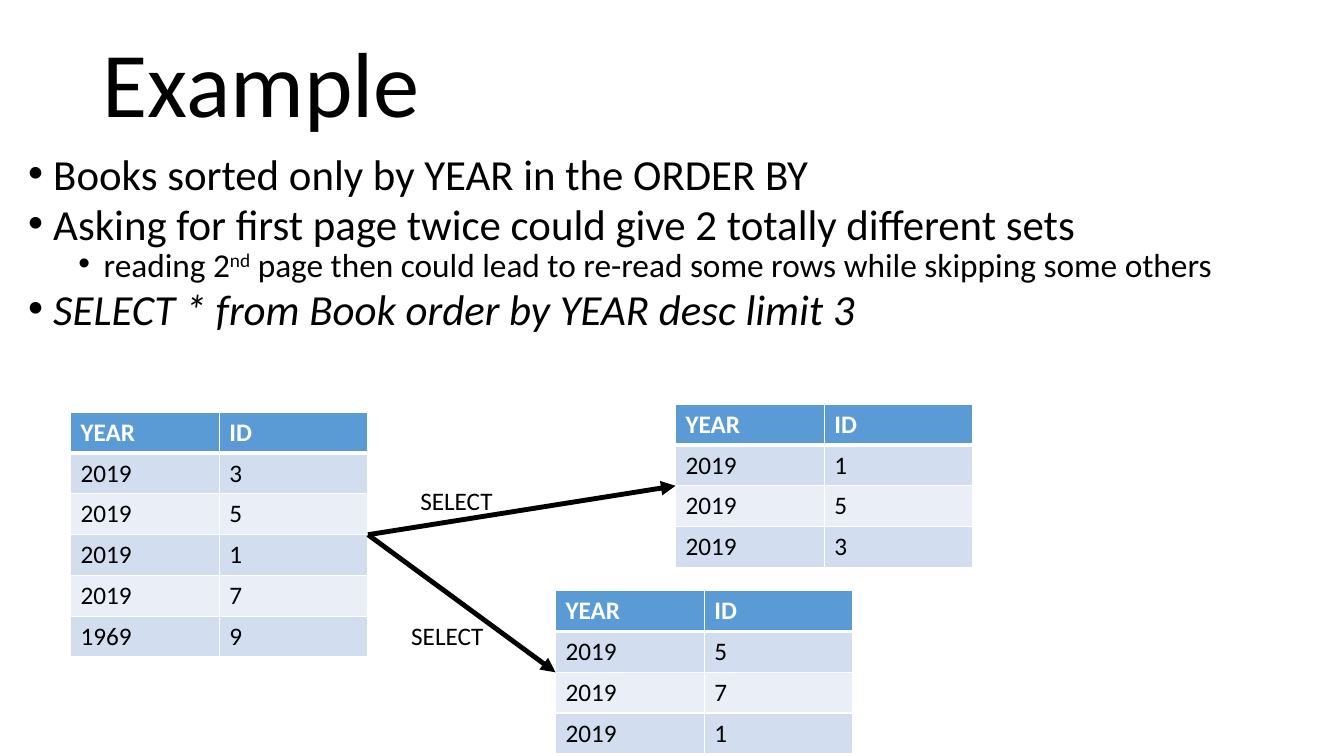
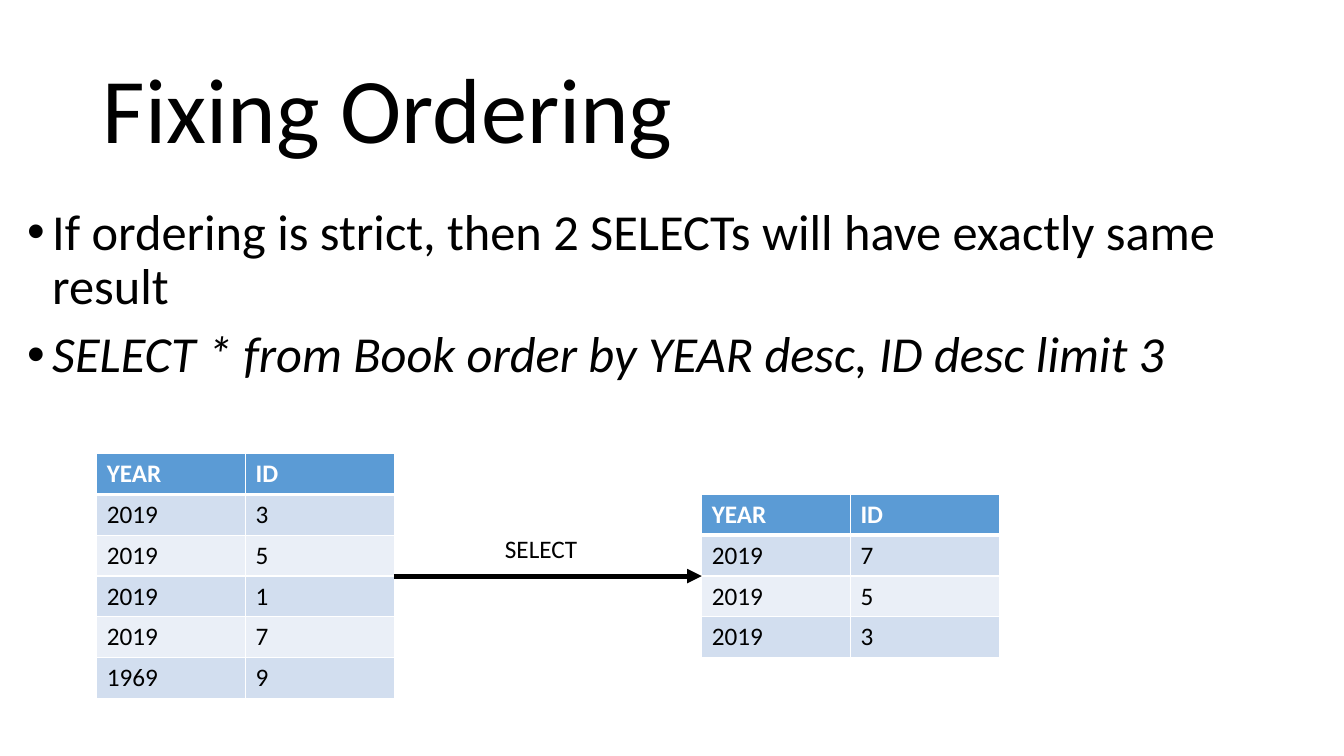
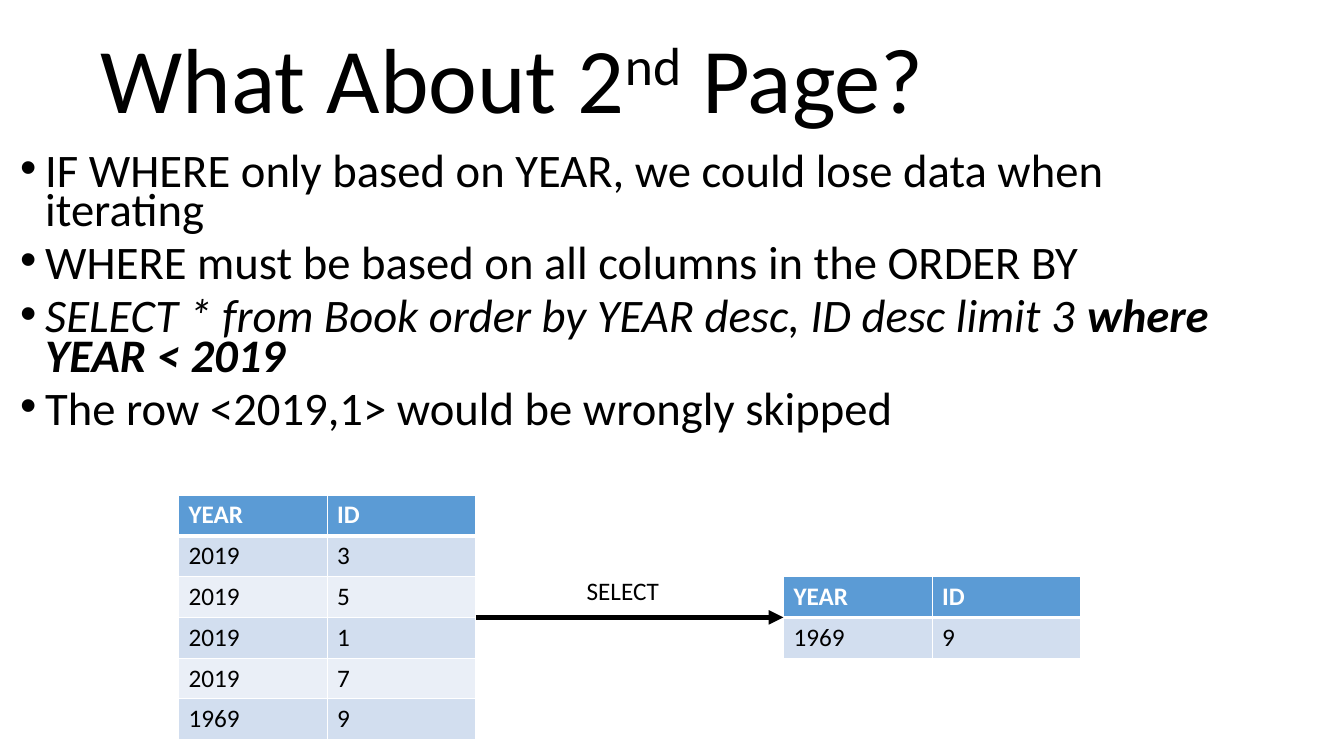
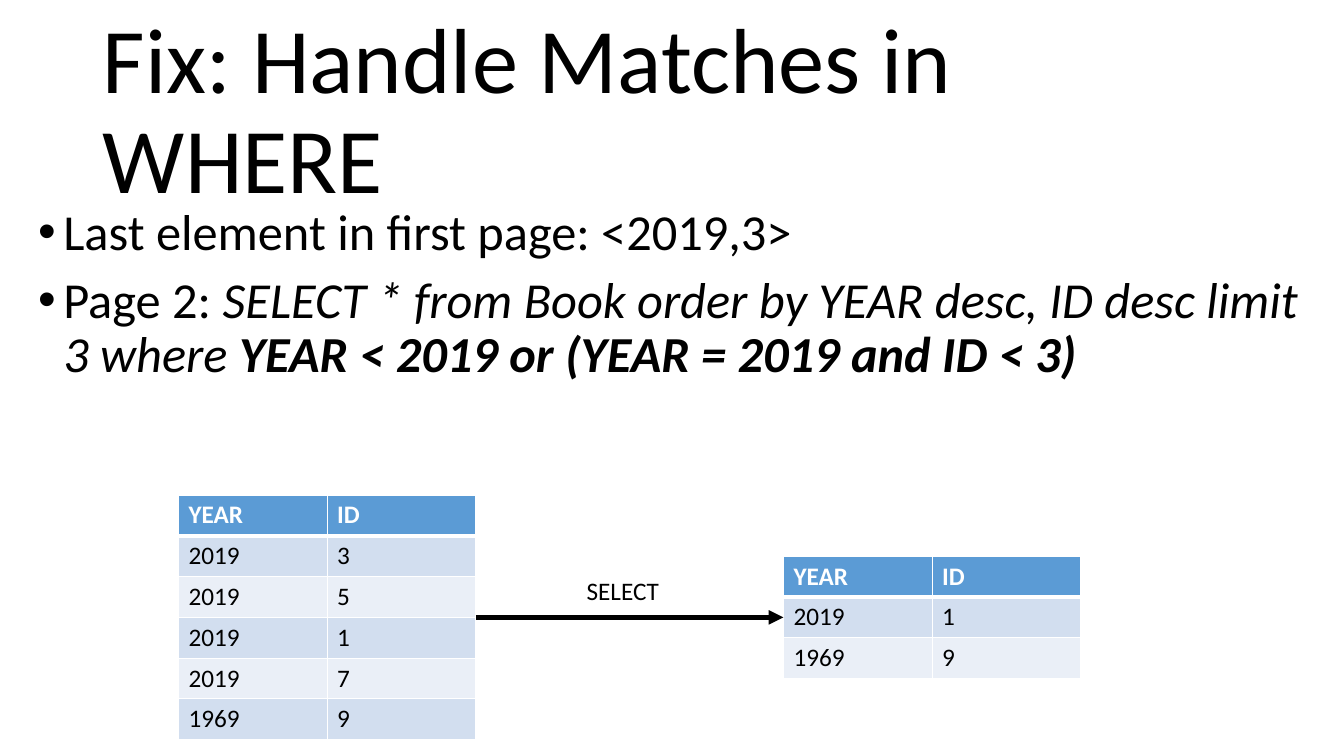
import dataclasses

import lxml.etree
import pptx
import pptx.dml.color
import pptx.enum.shapes
import pptx.enum.text
import pptx.oxml
import pptx.oxml.ns
import pptx.util

Inches = pptx.util.Inches
Pt = pptx.util.Pt
qn = pptx.oxml.ns.qn


@dataclasses.dataclass(frozen=True)
class Theme:
    font: str = "Calibri"
    ink: str = "000000"
    paper: str = "FFFFFF"
    head: str = "5B9BD5"
    bands: tuple = ("D2DEEF", "EAEFF7")
    title: float = 66
    small: float = 18
    line: float = 3.5
    rule: float = 1
    thick: float = 3
    col: float = 2.95 / 2
    row: float = 2.43 / 6


@dataclasses.dataclass
class Box:
    left: float
    top: float
    width: float
    height: float

    @property
    def right(self):
        return self.left + self.width

    @property
    def middle(self):
        return self.top + self.height / 2


class Deck:
    def __init__(self, theme):
        self.theme = theme
        self.show = pptx.Presentation()
        self.show.slide_width = Inches(13.33)
        self.show.slide_height = Inches(7.5)
        self.slide = None

    def color(self, value):
        return pptx.dml.color.RGBColor.from_string(value)

    def style(self, para, size, color=None, bold=False):
        font = para.font
        font.name = self.theme.font
        font.size = Pt(size)
        font.bold = bold
        font.color.rgb = self.color(color or self.theme.ink)

    def fill(self, para, parts):
        for text, marks in parts:
            run = para.add_run()
            run.text = text
            if "b" in marks:
                run.font.bold = True
            if "i" in marks:
                run.font.italic = True
            if "^" in marks:
                run._r.get_or_add_rPr().set("baseline", "30000")

    def page(self, parts, left, top):
        self.slide = self.show.slides.add_slide(self.show.slide_layouts[5])
        shape = self.slide.shapes.title
        shape.left, shape.top = Inches(left), Inches(top)
        shape.width, shape.height = Inches(11.5), Inches(1.45)
        frame = shape.text_frame
        frame.word_wrap = True
        frame.auto_size = pptx.enum.text.MSO_AUTO_SIZE.NONE
        frame.vertical_anchor = pptx.enum.text.MSO_ANCHOR.MIDDLE
        para = frame.paragraphs[0]
        para.alignment = pptx.enum.text.PP_ALIGN.LEFT
        para.line_spacing = 0.9
        self.style(para, self.theme.title)
        self.fill(para, parts)

    def text(self, box, wrap):
        shape = self.slide.shapes.add_textbox(
            Inches(box.left), Inches(box.top), Inches(box.width), Inches(box.height))
        shape.text_frame.word_wrap = wrap
        return shape.text_frame

    def list(self, box, sizes, spacing, items):
        frame = self.text(box, True)
        for index, (level, parts) in enumerate(items):
            para = frame.add_paragraph() if index else frame.paragraphs[0]
            props = para._p.get_or_add_pPr()
            props.set("marL", str(Inches(0.25 + 0.5 * level)))
            props.set("indent", str(Inches(-0.25)))
            lxml.etree.SubElement(props, qn("a:buFont")).set("typeface", "Arial")
            lxml.etree.SubElement(props, qn("a:buChar")).set("char", "•")
            para.level = level
            para.line_spacing = spacing
            para.space_before = Pt(5 if level else 10)
            self.style(para, sizes[level])
            self.fill(para, parts)

    def edge(self, cell, sides):
        props = cell._tc.get_or_add_tcPr()
        for index, (side, width) in enumerate(sides.items()):
            line = pptx.oxml.parse_xml(
                f'<a:ln{side} {pptx.oxml.ns.nsdecls("a")} w="{Pt(width)}">'
                f'<a:solidFill><a:srgbClr val="{self.theme.paper}"/></a:solidFill>'
                f'</a:ln{side}>')
            props.insert(index, line)

    def table(self, left, top, data):
        theme = self.theme
        rows = [("YEAR", "ID"), *data]
        box = Box(left, top, 2 * theme.col, len(rows) * theme.row)
        grid = self.slide.shapes.add_table(
            len(rows), 2, Inches(left), Inches(top),
            Inches(box.width), Inches(box.height)).table
        for r, values in enumerate(rows):
            grid.rows[r].height = Inches(theme.row)
            for c, value in enumerate(values):
                cell = grid.cell(r, c)
                cell.text = str(value)
                cell.fill.solid()
                shade = theme.bands[(r - 1) % 2] if r else theme.head
                cell.fill.fore_color.rgb = self.color(shade)
                self.style(cell.text_frame.paragraphs[0], theme.small,
                           theme.ink if r else theme.paper, r == 0)
                self.edge(cell, {"L": theme.rule, "R": theme.rule,
                                 "T": theme.thick if r == 1 else theme.rule,
                                 "B": theme.thick if r == 0 else theme.rule})
        return box

    def arrow(self, start, end):
        line = self.slide.shapes.add_connector(
            pptx.enum.shapes.MSO_CONNECTOR.STRAIGHT,
            Inches(start.right), Inches(start.middle),
            Inches(end.left), Inches(end.middle))
        line.line.width = Pt(self.theme.line)
        line.line.color.rgb = self.color(self.theme.ink)
        tail = lxml.etree.SubElement(line.line._get_or_add_ln(), qn("a:tailEnd"))
        tail.set("type", "triangle")
        lxml.etree.SubElement(line._element.spPr, qn("a:effectLst"))

    def label(self, left, top):
        para = self.text(Box(left, top, 0.93, 0.4), False).paragraphs[0]
        self.style(para, self.theme.small)
        self.fill(para, [("SELECT", "")])

    def flow(self, left, top, data):
        start = self.table(left, top, BOOKS)
        height = (len(data) + 1) * self.theme.row
        end = self.table(left + 6, start.middle - height / 2, data)
        self.arrow(start, end)
        self.label(start.right + 1, start.middle - 0.47)


BOOKS = [(2019, 3), (2019, 5), (2019, 1), (2019, 7), (1969, 9)]


def main():
    deck = Deck(Theme())

    deck.page([("Example", "")], 0.92, 0.14)
    deck.list(Box(0.18, 1.56, 12.97, 1.87), (30.6, 23.8), 0.7, [
        (0, [("Books sorted only by YEAR in the ORDER BY", "")]),
        (0, [("Asking for first page twice could give 2 totally different sets", "")]),
        (1, [("reading 2", ""), ("nd", "^"),
             (" page then could lead to re-read some rows while skipping some others", "")]),
        (0, [("SELECT * from Book order by YEAR desc limit 3", "i")]),
    ])
    books = deck.table(0.7, 4.09, BOOKS)
    first = deck.table(6.7, 4.01, [(2019, 1), (2019, 5), (2019, 3)])
    second = deck.table(5.51, 5.86, [(2019, 5), (2019, 7), (2019, 1)])
    deck.arrow(books, first)
    deck.arrow(books, second)
    deck.label(3.98, 6.11)
    deck.label(4.07, 4.77)

    deck.page([("Fixing Ordering", "")], 0.92, 0.4)
    deck.list(Box(0.17, 2, 13.03, 2.34), (36,), 0.9, [
        (0, [("If ordering is strict, then 2 SELECTs will have exactly same result", "")]),
        (0, [("SELECT * from Book order by YEAR desc, ID desc limit 3", "i")]),
    ])
    deck.flow(0.96, 4.5, [(2019, 7), (2019, 5), (2019, 3)])

    deck.page([("What About 2", ""), ("nd", "^"), (" Page?", "")], 0.9, 0.1)
    deck.list(Box(0.1, 1.5, 12.32, 3.14), (33.3,), 0.7, [
        (0, [("IF WHERE only based on YEAR, we could lose data when iterating", "")]),
        (0, [("WHERE must be based on all columns in the ORDER BY", "")]),
        (0, [("SELECT * from Book order by YEAR desc, ID desc limit 3 ", "i"),
             ("where YEAR < 2019", "bi")]),
        (0, [("The row <2019,1> would be wrongly skipped", "")]),
    ])
    deck.flow(1.77, 4.91, [(1969, 9)])

    deck.page([("Fix: Handle Matches in WHERE", "")], 0.92, 0.4)
    deck.list(Box(0.28, 2, 12.94, 2.35), (36,), 0.9, [
        (0, [("Last element in first page: <2019,3>", "")]),
        (0, [("Page 2: ", ""),
             ("SELECT * from Book order by YEAR desc, ID desc limit 3 where ", "i"),
             ("YEAR < 2019 or (YEAR = 2019 and ID < 3)", "bi")]),
    ])
    deck.flow(1.77, 4.91, [(2019, 1), (1969, 9)])

    deck.show.save("out.pptx")


if __name__ == "__main__":
    main()
